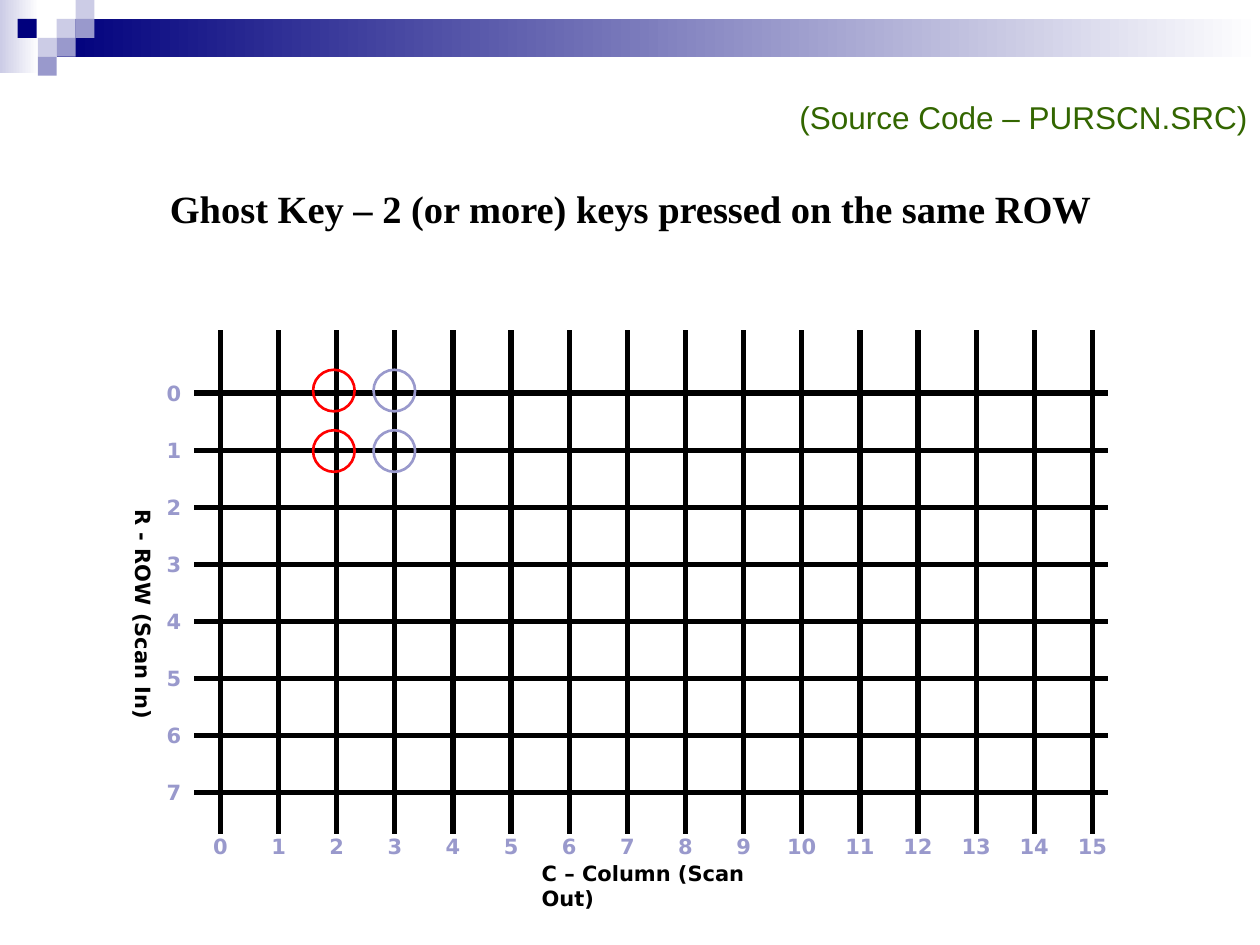
"""Draw a keyboard scan matrix that shows ghost keys on shared rows."""
from lxml import etree
from pptx import Presentation
from pptx.dml.color import RGBColor
from pptx.enum.shapes import MSO_CONNECTOR, MSO_SHAPE
from pptx.enum.text import MSO_ANCHOR, MSO_AUTO_SIZE, PP_ALIGN
from pptx.oxml.ns import qn
from pptx.util import Inches, Pt

RECT, OVAL = MSO_SHAPE.RECTANGLE, MSO_SHAPE.OVAL
STRAIGHT = MSO_CONNECTOR.STRAIGHT
LEFT, MID, RIGHT = PP_ALIGN.LEFT, PP_ALIGN.CENTER, PP_ALIGN.RIGHT
TOP, CENTRE = MSO_ANCHOR.TOP, MSO_ANCHOR.MIDDLE
GROW, FIXED = MSO_AUTO_SIZE.SHAPE_TO_FIT_TEXT, MSO_AUTO_SIZE.NONE
COLS, ROWS = 100, 75
INK = {"black": "000000", "white": "FFFFFF", "navy": "00007D", "lilac": "9999CC",
       "pale": "CCCCE6", "green": "336600", "red": "FF0000"}
SANS, SERIF, LABEL = "Arial", "Times New Roman", "DejaVu Sans"


class Deck:
    def __init__(self):
        self.prs = Presentation()
        self.prs.slide_width, self.prs.slide_height = Inches(10), Inches(7.5)
        self.slide = self.prs.slides.add_slide(self.prs.slide_layouts[6])
        self.shapes = self.slide.shapes

    def place(self, x, y):
        return (round(self.prs.slide_width * x / COLS),
                round(self.prs.slide_height * y / ROWS))

    def tint(self, name):
        return RGBColor.from_string(INK[name])

    def shape(self, kind, x, y, w, h):
        item = self.shapes.add_shape(kind, *self.place(x, y), *self.place(w, h))
        item.shadow.inherit = False
        return item

    def block(self, x, y, w, h, tone):
        item = self.shape(RECT, x, y, w, h)
        item.fill.solid()
        item.fill.fore_color.rgb = self.tint(tone)
        item.line.fill.background()

    def fade(self, x, y, w, h, tone):
        item = self.shape(RECT, x, y, w, h)
        item.fill.gradient()
        item.fill.gradient_angle = 180
        for stop, name, pos in zip(item.fill.gradient_stops, ("white", tone), (0, 1)):
            stop.color.rgb = self.tint(name)
            stop.position = pos
        item.line.fill.background()

    def ring(self, x, y, size, tone):
        item = self.shape(OVAL, x - size / 2, y - size / 2, size, size)
        item.fill.background()
        item.line.color.rgb = self.tint(tone)
        item.line.width = Pt(1.5)

    def wire(self, x1, y1, x2, y2):
        item = self.shapes.add_connector(STRAIGHT, *self.place(x1, y1), *self.place(x2, y2))
        item.line.color.rgb = self.tint("black")
        item.line.width = Pt(3)
        etree.SubElement(item._element.spPr, qn("a:effectLst"))

    def text(self, x, y, w, h, words, size=12, font=LABEL, tone="black", bold=True,
             align=LEFT, anchor=TOP, fit=GROW, space=0):
        box = self.shapes.add_textbox(*self.place(x, y), *self.place(w, h))
        frame = box.text_frame
        frame.word_wrap = True
        frame.auto_size = fit
        frame.vertical_anchor = anchor
        para = frame.paragraphs[0]
        para.alignment = align
        para.space_before = Pt(space)
        run = para.add_run()
        run.text = words
        run.font.size, run.font.name, run.font.bold = Pt(size), font, bold
        run.font.color.rgb = self.tint(tone)
        return frame

    def upright(self, x, y, w, h, words):
        frame = self.text(x, y, w, h, words, align=MID)
        frame.word_wrap = False
        frame.margin_left = frame.margin_right = Inches(0.05)
        frame.margin_top = frame.margin_bottom = Inches(0.1)
        frame._txBody.bodyPr.set("vert", "eaVert")

    def label(self, x, y, w, words):
        self.text(x - w / 2, y - 1.5, w, 3, words, tone="lilac", align=MID, space=7.5)


def banner(deck):
    deck.fade(0, 0, 3.1, 5.8, "pale")
    deck.fade(4.5, 1.5, 95.5, 3, "navy")
    tiles = [(3, 1, "pale"), (4, 0, "pale"), (4, 1, "lilac"), (2, 2, "pale"),
             (3, 2, "lilac"), (2, 3, "lilac")]
    for col, row, tone in tiles:
        deck.block(1.5 * col, 1.5 * row, 1.5, 1.5, tone)
    deck.block(1.4, 1.5, 1.5, 1.5, "navy")


def matrix(deck):
    left, top, dx, dy = 17.5, 31.2, 69.2 / 15, 31.7 / 7
    for row in range(8):
        y = top + row * dy
        deck.wire(15.4, y, 87.9, y)
        deck.label(13.8, y, 4.2, str(row))
    for col in range(16):
        x = left + col * dx
        deck.wire(x, 26.2, x, 66.2)
        deck.label(x, 67.2, 5, str(col))
    for y in (31, 35.8):
        deck.ring(26.5, y, 3.3, "red")
        deck.ring(31.3, y, 3.3, "lilac")


def main():
    deck = Deck()
    banner(deck)
    deck.text(0, 3, 100, 12.5, "(Source Code – PURSCN.SRC)", 18, SANS, "green", False,
              RIGHT, CENTRE, FIXED)
    deck.text(12.5, 14.2, 85, 55.8, "Ghost Key – 2 (or more) keys pressed on the same ROW",
              22, SERIF, fit=FIXED, space=5.5)
    deck.upright(8.9, 39.4, 4, 15.2, "R - ROW (Scan In)")
    deck.text(42, 67.8, 20.2, 3, "C – Column (Scan Out)")
    matrix(deck)
    deck.prs.save("out.pptx")


if __name__ == "__main__":
    main()
